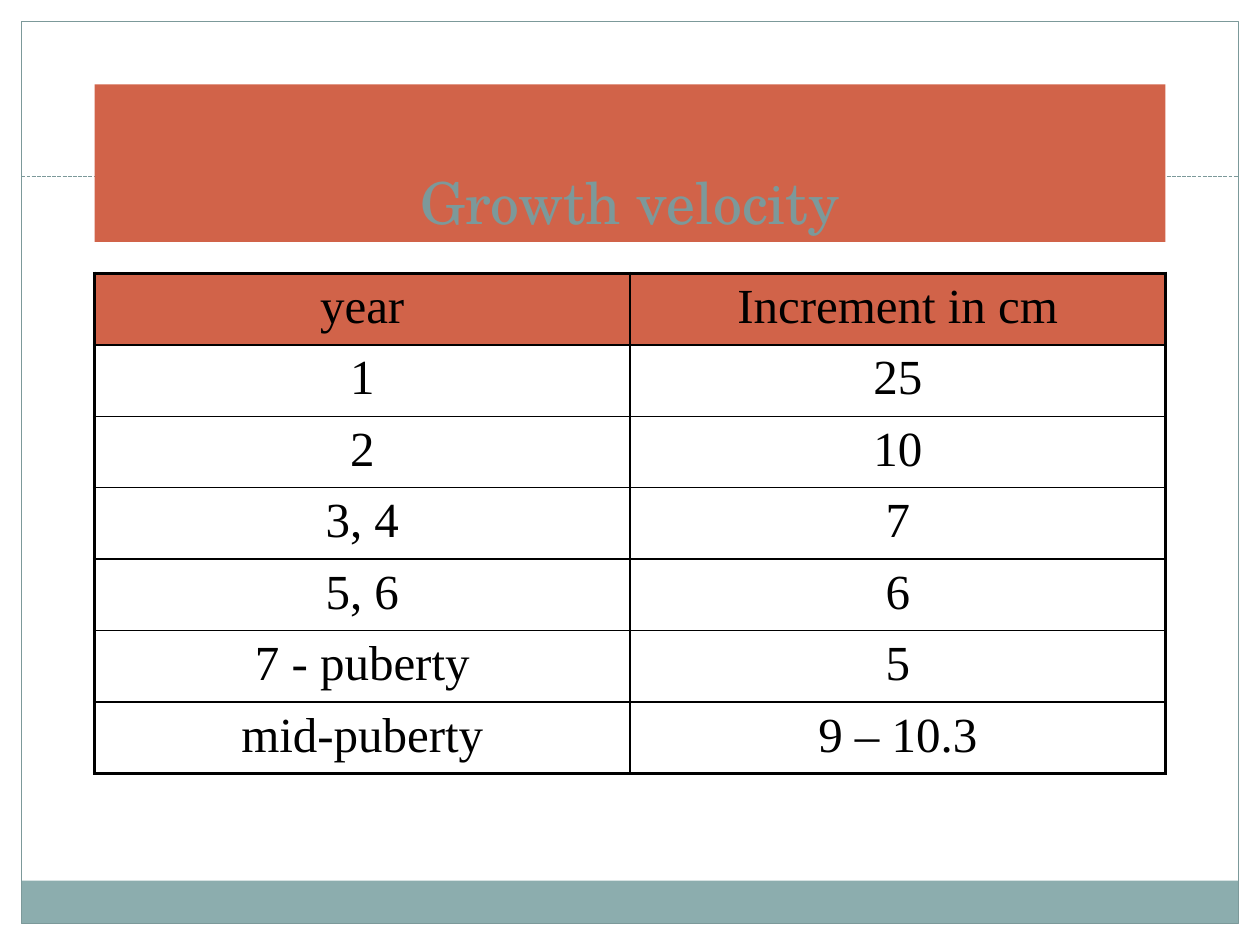
from lxml import etree
from pptx import Presentation
from pptx.dml.color import RGBColor
from pptx.enum.dml import MSO_LINE
from pptx.enum.shapes import MSO_CONNECTOR, MSO_SHAPE
from pptx.enum.text import MSO_ANCHOR, MSO_AUTO_SIZE, PP_ALIGN
from pptx.oxml.ns import qn
from pptx.util import Inches, Pt

RECT = MSO_SHAPE.RECTANGLE
STRAIGHT = MSO_CONNECTOR.STRAIGHT
DASH = MSO_LINE.SQUARE_DOT
CENTER = PP_ALIGN.CENTER
TOP, BOTTOM = MSO_ANCHOR.TOP, MSO_ANCHOR.BOTTOM
NO_FIT = MSO_AUTO_SIZE.NONE

WHITE, BLACK = "FFFFFF", "000000"
ORANGE, TEAL, GREY_TEAL = "D16349", "8CADAE", "7C999A"

TITLE = "Growth velocity"
ROWS = [
    ("year", "Increment in cm"),
    ("1", "25"),
    ("2", "10"),
    ("3, 4", "7"),
    ("5, 6", "6"),
    ("7 - puberty", "5"),
    ("mid-puberty", "9 – 10.3"),
]
# left, top, width, height, fill
PANELS = [
    (0, 0, 10, 1.52, WHITE),
    (0, 0, 0.17, 7.5, WHITE),
    (9.83, 0, 0.17, 7.5, WHITE),
    (0.17, 6.99, 9.66, 0.34, TEAL),
    (0.17, 0.17, 9.66, 7.16, None),
]
LEFT, WIDTH = 0.75, 8.5
TABLE_TOP, ROW_HEIGHT = 2.17, 0.567
OUTER, INNER = 2.25, 1


def rgb(color):
    return RGBColor.from_string(color)


def set_fill(obj, color):
    if color:
        obj.fill.solid()
        obj.fill.fore_color.rgb = rgb(color)
    else:
        obj.fill.background()


def write(tf, text, font, size, color):
    tf.text = text
    p = tf.paragraphs[0]
    p.alignment = CENTER
    f = p.runs[0].font
    f.name, f.size, f.color.rgb = font, Pt(size), rgb(color)


def set_borders(cell, widths):
    """Draw black cell borders; widths gives points per side, before the fill."""
    tcPr = cell._tc.get_or_add_tcPr()
    for side, width in widths.items():
        ln = etree.SubElement(tcPr, qn(f"a:ln{side}"), w=str(Pt(width)))
        solid = etree.SubElement(ln, qn("a:solidFill"))
        etree.SubElement(solid, qn("a:srgbClr"), val=BLACK)


prs = Presentation()
prs.slide_width, prs.slide_height = Inches(10), Inches(7.5)
s = prs.slides.add_slide(prs.slide_layouts[5])

for *box, fill in PANELS:
    sp = s.shapes.add_shape(RECT, *map(Inches, box))
    sp.shadow.inherit = False
    set_fill(sp, fill)
    if fill:
        sp.line.fill.background()
    else:
        sp.line.color.rgb = rgb(GREY_TEAL)
        sp.line.width = Pt(0.75)

rule = s.shapes.add_connector(STRAIGHT, Inches(0.17), Inches(1.4), Inches(9.83), Inches(1.4))
rule.line.color.rgb = rgb(GREY_TEAL)
rule.line.width = Pt(0.75)
rule.line.dash_style = DASH
etree.SubElement(rule._element.spPr, qn("a:effectLst"))

title = s.shapes.title
s.shapes._spTree.append(title._element)  # in front of the frame
title.left, title.top = Inches(LEFT), Inches(0.67)
title.width, title.height = Inches(WIDTH), Inches(1.25)
set_fill(title, ORANGE)
tf = title.text_frame
tf.auto_size, tf.vertical_anchor = NO_FIT, BOTTOM
write(tf, TITLE, "TeX Gyre Schola", 33, GREY_TEAL)

n_rows, n_cols = len(ROWS), len(ROWS[0])
table = s.shapes.add_table(n_rows, n_cols, Inches(LEFT), Inches(TABLE_TOP),
                           Inches(WIDTH), Inches(ROW_HEIGHT * n_rows)).table
table.horz_banding = False
for i, row in enumerate(ROWS):
    table.rows[i].height = Inches(ROW_HEIGHT)
    for j, text in enumerate(row):
        cell = table.cell(i, j)
        cell.vertical_anchor = TOP
        write(cell.text_frame, text, "Times New Roman", 28, BLACK)
        set_borders(cell, {
            "L": OUTER if j == 0 else INNER,
            "R": OUTER if j == n_cols - 1 else INNER,
            "T": OUTER if i == 0 else INNER,
            "B": OUTER if i == n_rows - 1 else INNER,
        })
        set_fill(cell, ORANGE if i == 0 else None)

prs.save("out.pptx")
